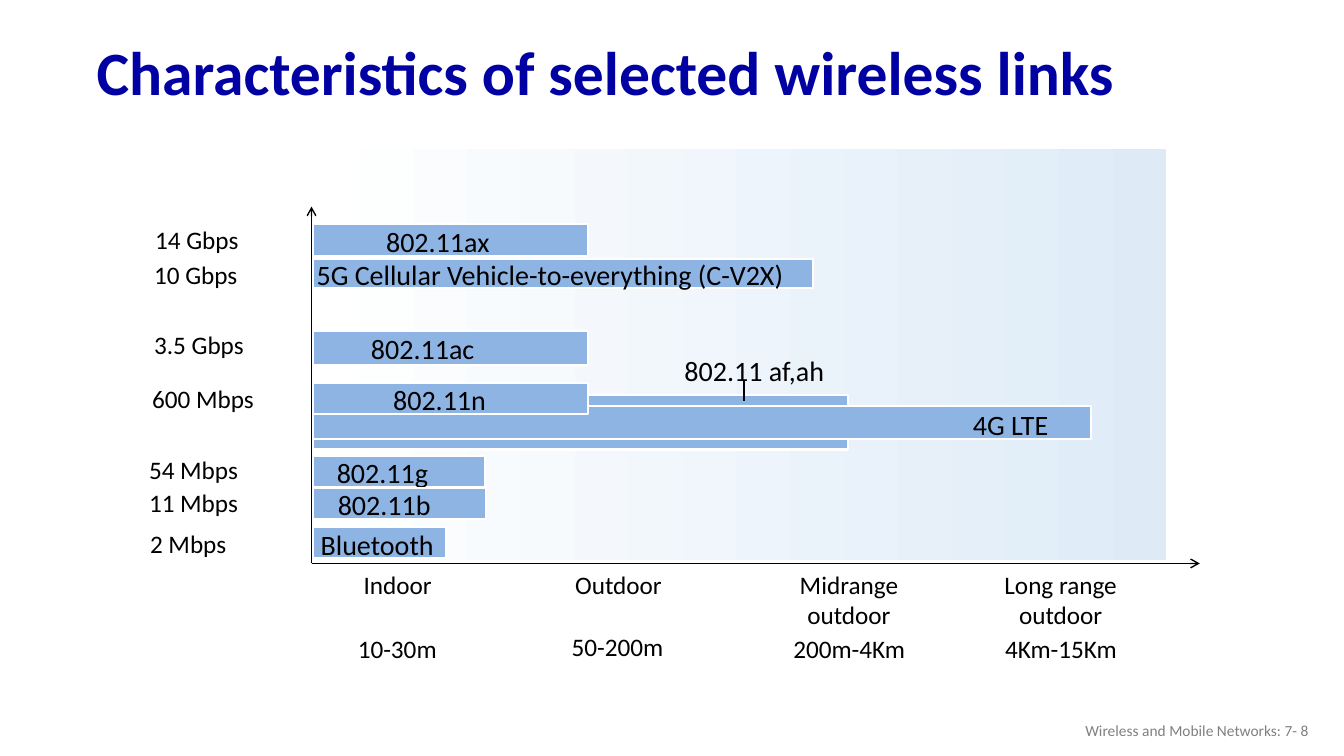
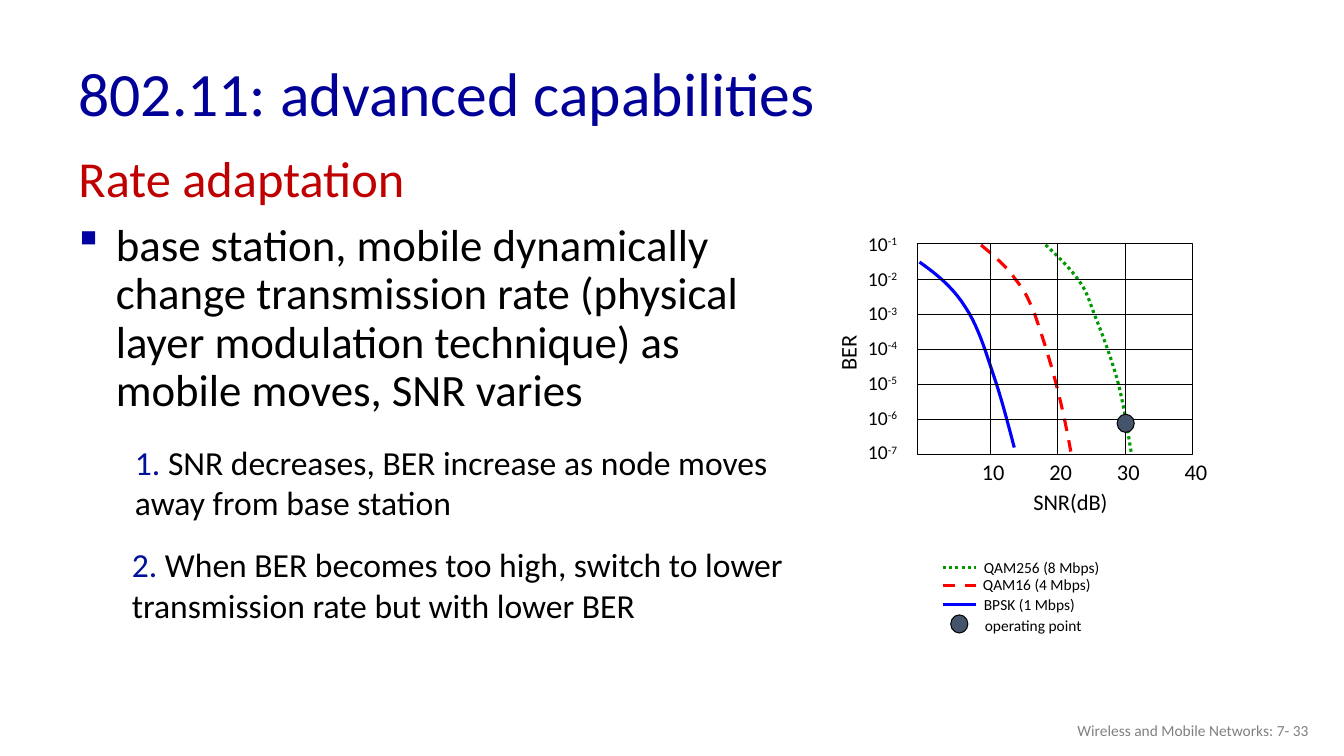
from lxml import etree
from pptx import Presentation
from pptx.dml.color import RGBColor
from pptx.enum.dml import MSO_LINE
from pptx.enum.shapes import MSO_CONNECTOR, MSO_SHAPE
from pptx.enum.text import MSO_ANCHOR, PP_ALIGN
from pptx.oxml.ns import qn
from pptx.util import Inches, Pt

STRAIGHT = MSO_CONNECTOR.STRAIGHT
RECTANGLE, OVAL = MSO_SHAPE.RECTANGLE, MSO_SHAPE.OVAL
TOP, MIDDLE = MSO_ANCHOR.TOP, MSO_ANCHOR.MIDDLE
LEFT, CENTER, RIGHT = PP_ALIGN.LEFT, PP_ALIGN.CENTER, PP_ALIGN.RIGHT
DASH, DOT = MSO_LINE.DASH, MSO_LINE.ROUND_DOT

FONT = "Calibri"
COLORS = {
    "title": "0000A3", "title_dark": "000099", "number": "011199",
    "heading": "C00000", "text": "000000", "footer": "808080",
    "bar": "8EB4E3", "white": "FFFFFF", "range_end": "DEEBF7",
    "bpsk": "0000FF", "qam16": "FF0000", "qam256": "009900",
    "point": "44546A",
}

# Slide 1: bars as (label, label left, top, height, right end), back to front
LINKS_TITLE = "Characteristics of selected wireless links"
LINK_BARS = [
    ("", 3.1, 3.92, 0.54, 8.41),
    ("4G LTE", 9.65, 4.03, 0.33, 10.82),
    ("802.11ac", 3.68, 3.28, 0.34, 5.83),
    ("802.11n", 3.9, 3.8, 0.31, 5.83),
    ("802.11g", 3.34, 4.52, 0.31, 4.81),
    ("802.11b", 3.35, 4.84, 0.31, 4.82),
    ("Bluetooth", 3.18, 5.23, 0.31, 4.42),
    ("802.11ax", 3.83, 2.22, 0.32, 5.83),
    ("5G Cellular Vehicle-to-everything (C-V2X)", 3.14, 2.57, 0.29, 8.06),
]
RATES = [  # text, left, top, width
    ("14 Gbps", 1.44, 2.18, 1.04), ("10 Gbps", 1.43, 2.52, 1.04),
    ("3.5 Gbps", 1.43, 3.22, 1.1), ("600 Mbps", 1.41, 3.75, 1.22),
    ("54 Mbps", 1.38, 4.46, 1.1), ("11 Mbps", 1.38, 4.79, 1.1),
    ("2 Mbps", 1.39, 5.19, 0.97),
]
RANGE_TOP = 5.6
RANGES = [  # name lines, left, width
    (["Indoor"], 3.5, 0.89), (["Outdoor"], 5.6, 1.07),
    (["Midrange", "outdoor"], 7.82, 1.2), (["Long range", "outdoor"], 9.85, 1.34),
]
DISTANCES = [  # text, left, top, width
    ("10-30m", 3.45, 6.23, 0.99), ("50-200m", 5.57, 6.21, 1.12),
    ("200m-4Km", 7.77, 6.23, 1.33), ("4Km-15Km", 9.87, 6.23, 1.33),
]
AXIS_X, AXIS_Y = 3.09, 5.59

# Slide 2
RATE_TITLE = "802.11: advanced capabilities"
RATE_HEADING = "Rate adaptation"
RATE_BULLET = ("base station, mobile dynamically change transmission rate "
               "(physical layer modulation technique) as mobile moves, SNR varies")
RATE_STEPS = [
    ("1. ", "SNR decreases, BER increase as node moves away from base station",
     1.24, 4.33),
    ("2. ", "When BER becomes too high, switch to lower transmission rate "
     "but with lower BER", 1.21, 5.35),
]
# Each curve: a start point, then three Bezier points for every stretch
CURVES = [
    ("bpsk", None,
     [(9.12, 2.6), (9.29, 2.72), (9.45, 2.85), (9.57, 3.04),
      (9.7, 3.23), (9.78, 3.5), (9.86, 3.74),
      (9.94, 3.97), (10.03, 4.33), (10.06, 4.44)]),
    ("qam16", DASH,
     [(9.73, 2.43), (9.86, 2.54), (9.99, 2.65), (10.07, 2.77),
      (10.16, 2.88), (10.19, 2.94), (10.26, 3.11),
      (10.32, 3.28), (10.41, 3.56), (10.47, 3.79),
      (10.53, 4.02), (10.58, 4.25), (10.62, 4.48)]),
    ("qam256", DOT,
     [(10.37, 2.43), (10.49, 2.54), (10.61, 2.66), (10.69, 2.77),
      (10.77, 2.88), (10.79, 2.94), (10.85, 3.11),
      (10.92, 3.28), (11.03, 3.57), (11.09, 3.8),
      (11.15, 4.03), (11.2, 4.38), (11.22, 4.49)]),
]
LEGEND = [  # label, left, top, width, key colour, key dash, key y
    ("QAM256 (8 Mbps)", 9.66, 5.49, 1.36, "qam256", DOT, 5.63),
    ("QAM16 (4 Mbps)", 9.65, 5.66, 1.28, "qam16", DASH, 5.81),
    ("BPSK (1 Mbps)", 9.66, 5.85, 1.11, "bpsk", None, 6),
    ("operating point", 9.67, 6.06, 1.17, "point", None, 6.19),
]
SNR_TICKS = [10, 20, 30, 40]
PLOT_X, PLOT_Y, PLOT_W, PLOT_H = 9.1, 2.42, 2.73, 2.09
DECADES = 6
SNR_STEP = 0.67


def rgb(name):
    return RGBColor.from_string(COLORS[name])


def box(left, top, width, height):
    return [Inches(v) for v in (left, top, width, height)]


def style(run, size, color="text", bold=False):
    run.font.name, run.font.size, run.font.bold = FONT, Pt(size), bold
    run.font.color.rgb = rgb(color)


def set_line(line, color, width, dash=None):
    line.color.rgb, line.width = rgb(color), Pt(width)
    if dash:
        line.dash_style = dash


def add_line(slide, start, end, color="text", width=1, dash=None, arrow=False):
    connector = slide.shapes.add_connector(
        STRAIGHT, *[Inches(v) for v in (*start, *end)])
    set_line(connector.line, color, width, dash)
    if arrow:
        etree.SubElement(connector.line._get_or_add_ln(), qn("a:tailEnd"),
                         type="arrow")
    etree.SubElement(connector._element.spPr, qn("a:effectLst"))
    return connector


def add_shape(slide, kind, place, fill=None, line=None, width=0.75):
    shape = slide.shapes.add_shape(kind, *box(*place))
    shape.shadow.inherit = False
    if fill:
        shape.fill.solid()
        shape.fill.fore_color.rgb = rgb(fill)
    else:
        shape.fill.background()
    if line:
        set_line(shape.line, line, width)
    else:
        shape.line.fill.background()
    return shape


def add_text(slide, lines, place, size, color="text", align=LEFT,
             anchor=TOP, wrap=True, bold=False, fill=None):
    """Add one paragraph per line, on a filled rectangle if asked."""
    if fill:
        holder = add_shape(slide, RECTANGLE, place, fill)
    else:
        holder = slide.shapes.add_textbox(*box(*place))
    frame = holder.text_frame
    frame.word_wrap, frame.vertical_anchor = wrap, anchor
    frame.text = "\n".join(lines)
    for paragraph in frame.paragraphs:
        paragraph.alignment = align
        for run in paragraph.runs:
            style(run, size, color, bold)
    return frame


def add_slide(prs, title, left, top, number, color, bold):
    """Add a blank slide with the shared title and footer."""
    slide = prs.slides.add_slide(prs.slide_layouts[6])
    heading = add_text(slide, [title], (left, top, 11.5, 0.98), 44, color,
                       anchor=MIDDLE, bold=bold)
    heading.paragraphs[0].line_spacing = 0.9
    add_text(slide, [f"Wireless and Mobile Networks: 7- {number}"],
             (10.08, 7.05, 3, 0.4), 11, "footer", RIGHT, MIDDLE)
    return slide


def add_bar(slide, label, label_left, top, height, right):
    left = AXIS_X + 0.01
    bar = add_shape(slide, RECTANGLE, (left, top, right - left, height),
                    "bar", "white", 1.5)
    if not label:
        return
    frame = bar.text_frame
    frame.text, frame.word_wrap, frame.vertical_anchor = label, True, MIDDLE
    frame.margin_left, frame.margin_top = Inches(label_left - left), Inches(0.02)
    frame.margin_right = frame.margin_bottom = 0
    frame.paragraphs[0].alignment = LEFT
    style(frame.paragraphs[0].runs[0], 20)


def build_links(prs):
    slide = add_slide(prs, LINKS_TITLE, 0.86, 0.26, 8, "title", True)
    backdrop = add_shape(slide, RECTANGLE, (3.03, 1.48, 8.54, 4.08))
    backdrop.fill.gradient()
    backdrop.fill.gradient_angle = 0
    for stop, color in zip(backdrop.fill.gradient_stops, ("white", "range_end")):
        stop.color.rgb = rgb(color)

    for name, left, width in RANGES:
        height = 0.09 + 0.31 * len(name)
        add_text(slide, name, (left, RANGE_TOP, width, height), 18, align=CENTER,
                 wrap=False, fill="white")
    for label, left, top, width in RATES + DISTANCES:
        add_text(slide, [label], (left, top, width, 0.4), 18, wrap=False,
                 fill="white")
    for bar in LINK_BARS:
        add_bar(slide, *bar)

    add_text(slide, ["802.11 af,ah"], (6.69, 3.46, 1.62, 0.44), 20, wrap=False)
    add_line(slide, (7.38, 3.78), (7.38, 3.98))
    for end in ((11.9, AXIS_Y), (AXIS_X, 2.05)):
        add_line(slide, (AXIS_X, AXIS_Y), end, arrow=True)


def bezier_points(controls, steps=10):
    """Sample a chain of cubic Bezier stretches."""
    points = [controls[0]]
    for i in range(0, len(controls) - 1, 3):
        stretch = controls[i:i + 4]
        for t in (n / steps for n in range(1, steps + 1)):
            weights = ((1 - t) ** 3, 3 * t * (1 - t) ** 2, 3 * t * t * (1 - t), t ** 3)
            points.append(tuple(sum(w * p[axis] for w, p in zip(weights, stretch))
                                for axis in (0, 1)))
    return points


def add_curve(slide, color, dash, controls):
    points = [(Inches(x), Inches(y)) for x, y in bezier_points(controls)]
    builder = slide.shapes.build_freeform(*points[0])
    builder.add_line_segments(points[1:], close=False)
    curve = builder.convert_to_shape()
    curve.shadow.inherit = False
    curve.fill.background()
    set_line(curve.line, color, 2.25, dash)


def add_point(slide, left, top):
    add_shape(slide, OVAL, (left, top, 0.17, 0.18), "point", "text")


def add_plot(slide):
    right, bottom = PLOT_X + PLOT_W, PLOT_Y + PLOT_H
    for curve in CURVES:
        add_curve(slide, *curve)
    plot = add_shape(slide, RECTANGLE, (PLOT_X, PLOT_Y, PLOT_W, PLOT_H), line="text")

    for row in range(1, DECADES):
        y = PLOT_Y + row * PLOT_H / DECADES
        grid_line = add_line(slide, (PLOT_X, y), (right, y), width=0.75)
        if row * 2 == DECADES:
            grid_line.begin_connect(plot, 1)
            grid_line.end_connect(plot, 3)
    for row in range(DECADES + 1):
        place = (8.51, 2.25 + 0.345 * row, 0.69, 0.34)
        paragraph = add_text(slide, ["10"], place, 14).paragraphs[0]
        exponent = paragraph.add_run()
        exponent.text = f"-{row + 1}"
        style(exponent, 14)
        exponent.font._element.set("baseline", "30000")

    for column, tick in enumerate(SNR_TICKS, 1):
        x = right - SNR_STEP * (len(SNR_TICKS) - column)
        if x < right:
            add_line(slide, (x, PLOT_Y), (x, bottom), width=0.75)
        add_text(slide, [str(tick)], (x - 0.18, 4.5, 0.58, 0.37), 16)
    add_text(slide, ["SNR(dB)"], (10.15, 4.79, 1.28, 0.37), 16)
    add_text(slide, ["BER"], (8.06, 3.24, 0.7, 0.37), 16)
    slide.shapes[-1].rotation = 270
    add_point(slide, 11.08, 4.11)


def add_legend(slide):
    for label, left, top, width, color, dash, y in LEGEND:
        add_text(slide, [label], (left, top, width, 0.29), 11, wrap=False)
        if color == "point":
            add_point(slide, 9.43, y - 0.09)
        else:
            add_line(slide, (9.35, y), (9.68, y), color, 2.25, dash)


def build_rate_adaptation(prs):
    slide = add_slide(prs, RATE_TITLE, 0.68, 0.47, 33, "title_dark", False)
    body = add_text(slide, [RATE_HEADING, RATE_BULLET], (0.66, 1.48, 7.19, 5.08), 32)
    heading, bullet = body.paragraphs
    style(heading.runs[0], 36, "heading")
    for paragraph in (heading, bullet):
        paragraph.line_spacing, paragraph.space_before = 0.9, Pt(10)
        properties = paragraph._p.get_or_add_pPr()
        properties.set("marL", str(Inches(0.39)))
        properties.set("indent", str(Inches(-0.37)))
    bullet_color = etree.SubElement(properties, qn("a:buClr"))
    etree.SubElement(bullet_color, qn("a:srgbClr"), val=COLORS["title"])
    etree.SubElement(properties, qn("a:buFont"), typeface="Wingdings", charset="2")
    etree.SubElement(properties, qn("a:buChar"), char="§")

    add_plot(slide)
    add_legend(slide)
    for number, step, left, top in RATE_STEPS:
        frame = add_text(slide, [number], (left, top, 7.2, 0.91), 24, "number")
        run = frame.paragraphs[0].add_run()
        run.text = step
        style(run, 24)


def main():
    prs = Presentation()
    prs.slide_width, prs.slide_height = Inches(13.33), Inches(7.5)
    build_links(prs)
    build_rate_adaptation(prs)
    prs.save("out.pptx")


if __name__ == "__main__":
    main()
